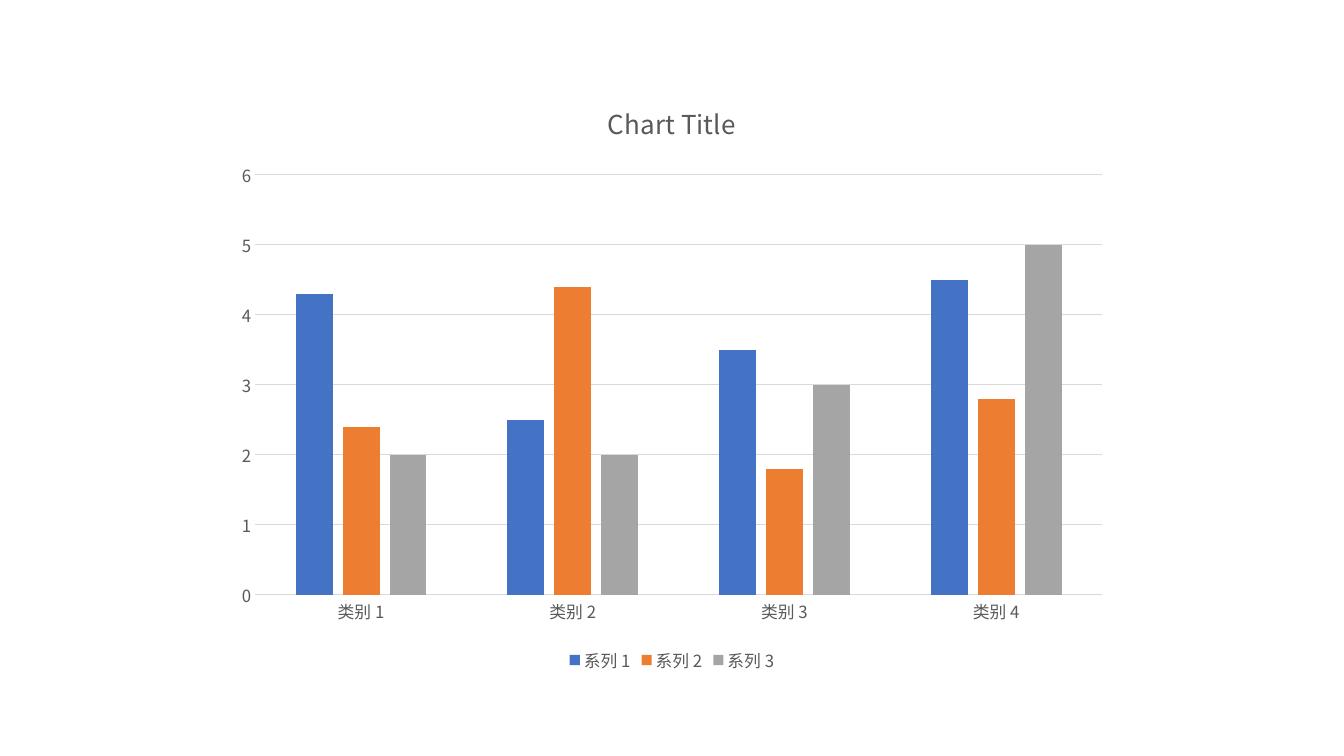
import lxml.etree
import pptx
import pptx.chart.data
import pptx.dml.color
import pptx.enum.chart
import pptx.oxml.ns
import pptx.util

Pt = pptx.util.Pt
RGBColor = pptx.dml.color.RGBColor

FONT = "Noto Sans CJK SC"
GRAY_TEXT = RGBColor(0x59, 0x59, 0x59)
GRID_LINE = RGBColor(0xD9, 0xD9, 0xD9)
BLUE = RGBColor(0x44, 0x72, 0xC4)
ORANGE = RGBColor(0xED, 0x7D, 0x31)
GRAY = RGBColor(0xA5, 0xA5, 0xA5)

CATEGORIES = [f"类别 {number}" for number in range(1, 5)]
SERIES = [
    ("系列 1", (4.3, 2.5, 3.5, 4.5), BLUE),
    ("系列 2", (2.4, 4.4, 1.8, 2.8), ORANGE),
    ("系列 3", (2, 2, 3, 5), GRAY),
]


class SlideBuilder:
    """Holds the chart style and the current slide."""

    def __init__(self, slide):
        self.slide = slide

    def style_font(self, font, size):
        font.name = FONT
        font.size = Pt(size)
        font.bold = False
        font.color.rgb = GRAY_TEXT

    def style_line(self, line):
        line.color.rgb = GRID_LINE
        line.width = Pt(0.75)

    def column_chart(self, left, top, width, height, title):
        chart_data = pptx.chart.data.CategoryChartData()
        chart_data.categories = CATEGORIES
        for name, values, _ in SERIES:
            chart_data.add_series(name, values)
        chart = self.slide.shapes.add_chart(
            pptx.enum.chart.XL_CHART_TYPE.COLUMN_CLUSTERED,
            Pt(left), Pt(top), Pt(width), Pt(height), chart_data).chart
        self.style_font(chart.font, 12)
        # East Asian text needs its own typeface entry
        for properties in chart.font._element.iter(pptx.oxml.ns.qn("a:latin")):
            east_asian = lxml.etree.Element(pptx.oxml.ns.qn("a:ea"), typeface=FONT)
            properties.addnext(east_asian)

        # Title
        chart.has_title = True
        chart.chart_title.include_in_layout = False
        title_frame = chart.chart_title.text_frame
        title_frame.text = title
        self.style_font(title_frame.paragraphs[0].font, 18.6)

        # Columns
        plot = chart.plots[0]
        plot.gap_width = 219
        plot.overlap = -27
        plot.vary_by_categories = False
        for series, (_, _, color) in zip(plot.series, SERIES):
            series.invert_if_negative = False
            series.format.fill.solid()
            series.format.fill.fore_color.rgb = color

        # Axes and gridlines
        for axis in (chart.category_axis, chart.value_axis):
            axis.major_tick_mark = pptx.enum.chart.XL_TICK_MARK.NONE
            axis.minor_tick_mark = pptx.enum.chart.XL_TICK_MARK.NONE
            self.style_font(axis.tick_labels.font, 12)
        self.style_line(chart.category_axis.format.line)
        chart.value_axis.format.line.fill.background()
        chart.value_axis.has_major_gridlines = True
        self.style_line(chart.value_axis.major_gridlines.format.line)

        # Legend
        chart.has_legend = True
        chart.legend.position = pptx.enum.chart.XL_LEGEND_POSITION.BOTTOM
        chart.legend.include_in_layout = False
        self.style_font(chart.legend.font, 12)


presentation = pptx.Presentation()
presentation.slide_width = Pt(960)
presentation.slide_height = Pt(540)
builder = SlideBuilder(presentation.slides.add_slide(presentation.slide_layouts[6]))
builder.column_chart(160, 56.67, 640, 426.67, "Chart Title")
presentation.save("out.pptx")
